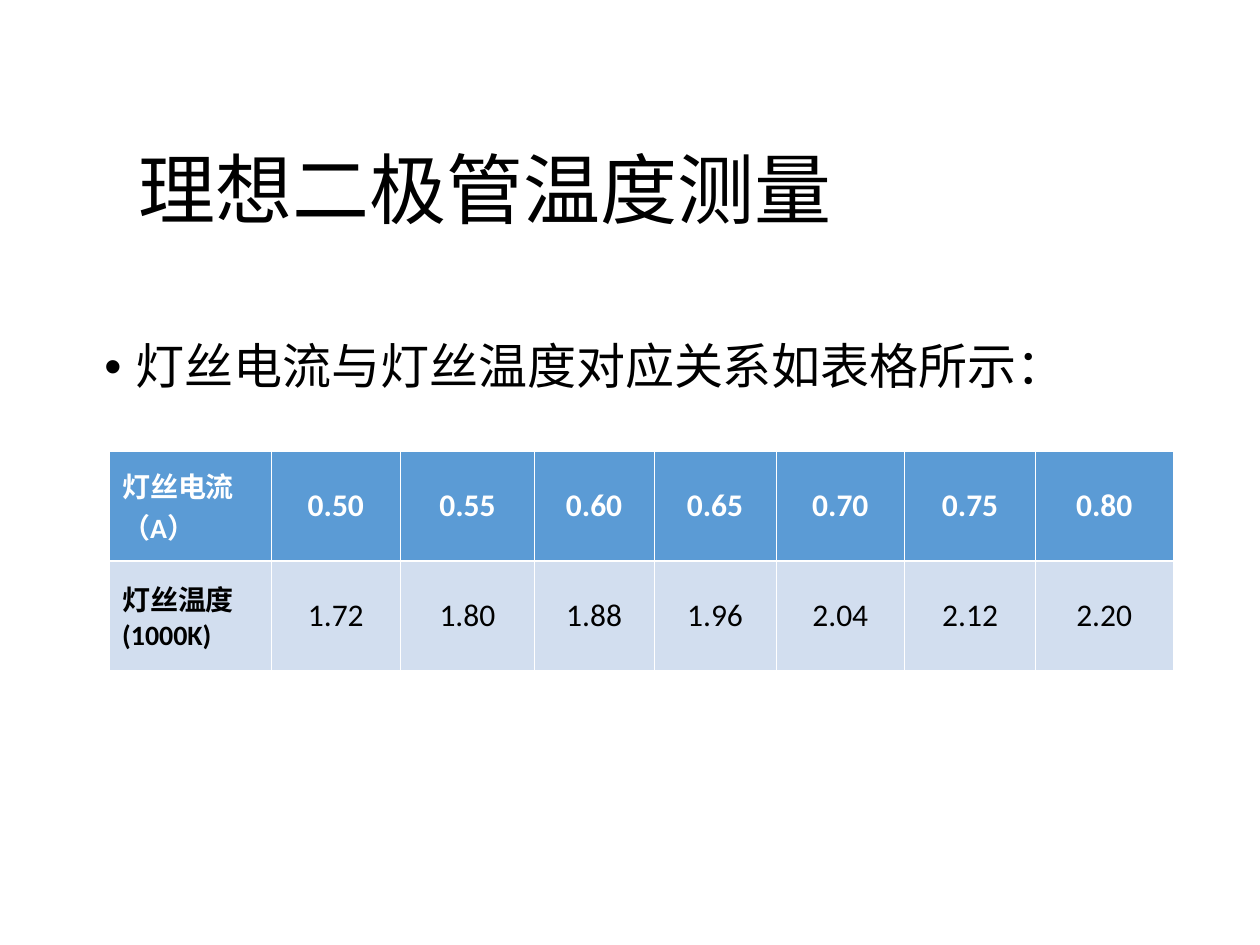
"""Build the slide on ideal diode temperature measurement."""
from lxml import etree
from pptx import Presentation
from pptx.dml.color import RGBColor
from pptx.enum.text import MSO_ANCHOR, PP_ALIGN
from pptx.oxml.ns import qn
from pptx.util import Inches, Pt

MIDDLE, TOP = MSO_ANCHOR.MIDDLE, MSO_ANCHOR.TOP
LEFT, CENTER = PP_ALIGN.LEFT, PP_ALIGN.CENTER
LATIN, CJK = "Calibri", "Noto Sans CJK SC"
BLACK, WHITE, BLUE, PALE = "000000", "FFFFFF", "5B9BD5", "D2DEEF"
THIN, THICK = 0.45, 1.47

TITLE = "理想二极管温度测量"
BULLET = "灯丝电流与灯丝温度对应关系如表格所示："
ROWS = [
    ["灯丝电流（A）", "0.50", "0.55", "0.60", "0.65", "0.70", "0.75", "0.80"],
    ["灯丝温度(1000K)", "1.72", "1.80", "1.88", "1.96", "2.04", "2.12", "2.20"],
]
ROW_STYLES = [
    {"fill": BLUE, "color": WHITE, "bold": True, "top": THIN, "bottom": THICK},
    {"fill": PALE, "color": BLACK, "bold": False, "top": THICK, "bottom": THIN},
]
COLUMN_WIDTHS = [1.28, 1.03, 1.06, 0.95, 0.97, 1.02, 1.04, 1.09]
ROW_HEIGHT = 0.87


def rgb(color):
    """Turn a hex string into a colour."""
    return RGBColor.from_string(color)


def write(frame, text, size, font=LATIN, color=BLACK, bold=False, align=LEFT, anchor=MIDDLE):
    """Set one formatted paragraph and return it."""
    frame.text = text
    frame.word_wrap = True
    frame.vertical_anchor = anchor
    para = frame.paragraphs[0]
    para.alignment = align
    span = para.runs[0]
    span.font.size = Pt(size)
    span.font.name = font
    span.font.bold = bold
    span.font.color.rgb = rgb(color)
    etree.SubElement(span.font._element, qn("a:ea"), typeface=CJK)
    return para


def add_borders(cell, top, bottom):
    """Draw white lines on the four sides of a cell."""
    properties = cell._tc.get_or_add_tcPr()
    for side, width in (("L", THIN), ("R", THIN), ("T", top), ("B", bottom)):
        line = etree.SubElement(properties, qn(f"a:ln{side}"), w=str(Pt(width)))
        fill = etree.SubElement(line, qn("a:solidFill"))
        etree.SubElement(fill, qn("a:srgbClr"), val=WHITE)


def add_title(page):
    """Place and format the title."""
    title = page.shapes.title
    title.left, title.top = Inches(1), Inches(0.91)
    title.width, title.height = Inches(6.4), Inches(1.25)
    write(title.text_frame, TITLE, 44, CJK).line_spacing = 0.9


def add_bullet(page):
    """Add the bulleted sentence above the table."""
    box = page.shapes.add_textbox(Inches(0.73), Inches(2.67), Inches(8.5), Inches(0.62))
    para = write(box.text_frame, BULLET, 28, CJK, anchor=TOP)
    para.line_spacing = 0.9
    properties = para._p.get_or_add_pPr()
    properties.set("marL", str(Inches(0.25)))
    properties.set("indent", str(Inches(-0.25)))
    etree.SubElement(properties, qn("a:buFont"), typeface="Arial")
    etree.SubElement(properties, qn("a:buChar"), char="•")


def add_readings(page):
    """Add the table of current and temperature."""
    frame = page.shapes.add_table(
        len(ROWS), len(COLUMN_WIDTHS), Inches(0.87), Inches(3.58),
        Inches(sum(COLUMN_WIDTHS)), Inches(ROW_HEIGHT * len(ROWS)))
    table = frame.table
    for column, width in zip(table.columns, COLUMN_WIDTHS):
        column.width = Inches(width)
    for row, values, style in zip(table.rows, ROWS, ROW_STYLES):
        row.height = Inches(ROW_HEIGHT)
        for index, (cell, value) in enumerate(zip(row.cells, values)):
            heading = index == 0
            write(cell.text_frame, value, 16 if heading else 18, color=style["color"],
                  bold=heading or style["bold"], align=LEFT if heading else CENTER)
            cell.vertical_anchor = MIDDLE
            add_borders(cell, style["top"], style["bottom"])
            cell.fill.solid()
            cell.fill.fore_color.rgb = rgb(style["fill"])


def main():
    """Build and save the deck."""
    deck = Presentation()
    deck.slide_width, deck.slide_height = Inches(10), Inches(7.5)
    page = deck.slides.add_slide(deck.slide_layouts[5])
    add_title(page)
    add_readings(page)
    add_bullet(page)
    deck.save("out.pptx")


if __name__ == "__main__":
    main()
